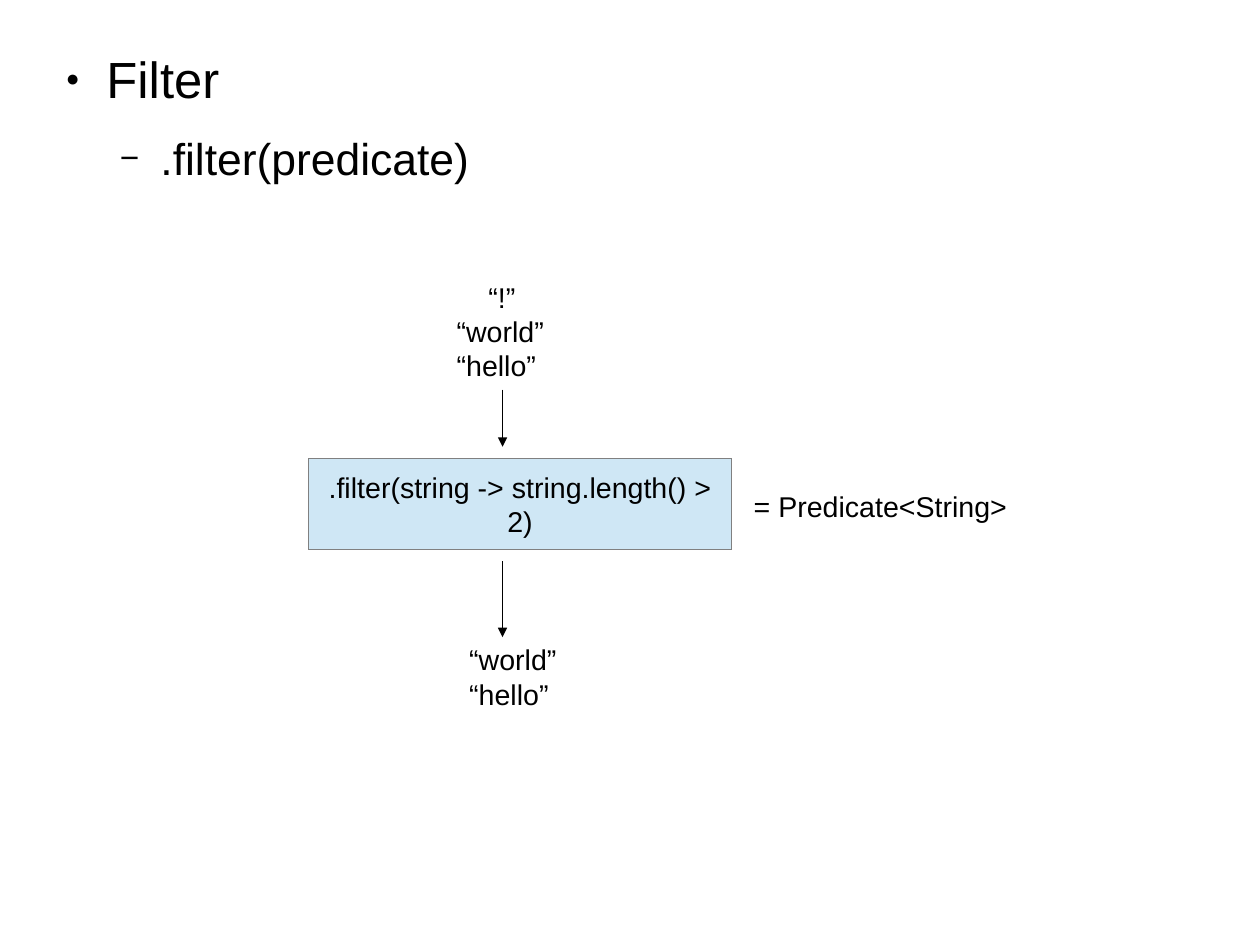
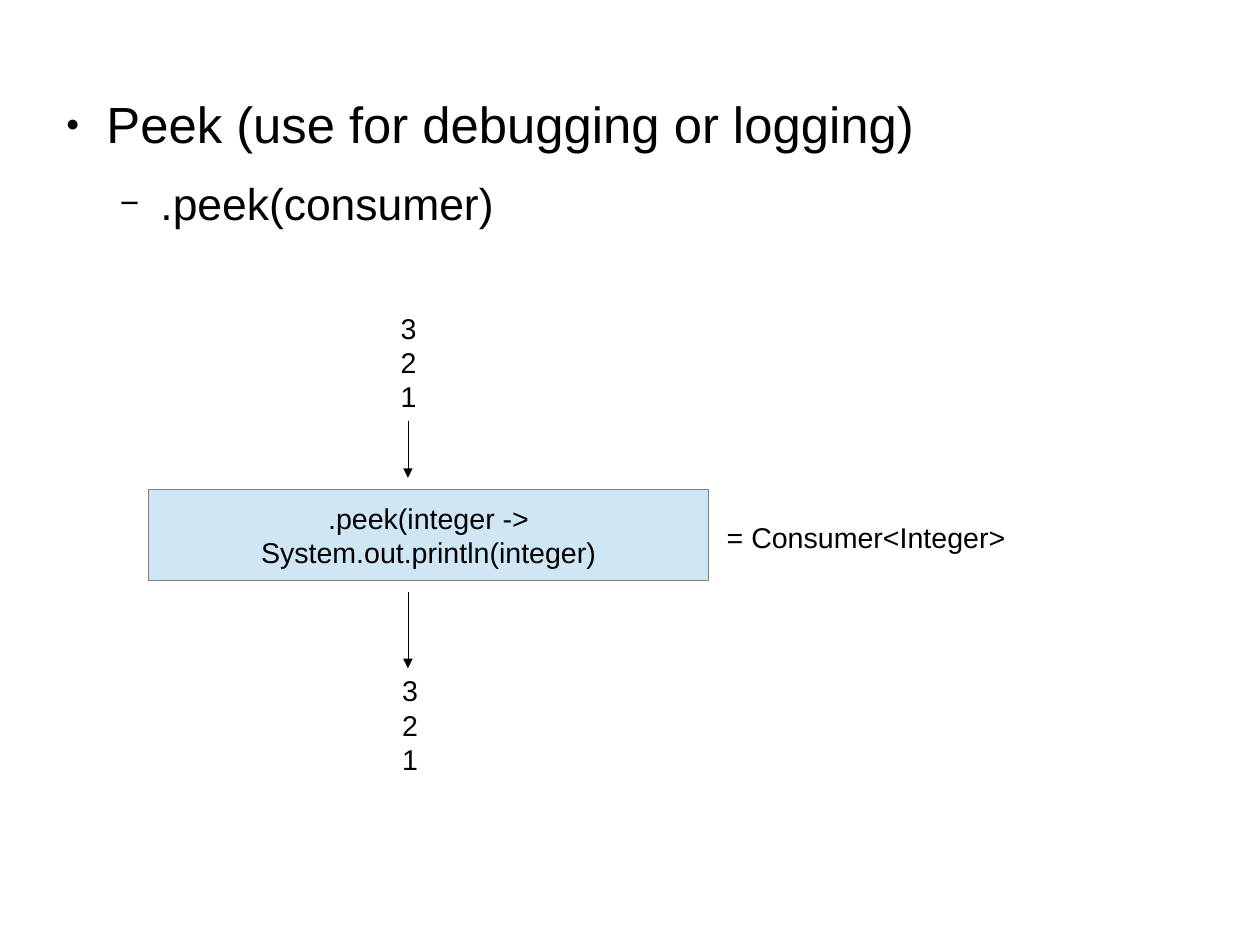
"""Build two slides that show how stream steps handle their items."""
from dataclasses import dataclass

import pptx
import pptx.dml.color
import pptx.enum.shapes
import pptx.enum.text
import pptx.oxml.ns
import pptx.util
from lxml import etree

Pt = pptx.util.Pt
Color = pptx.dml.color.RGBColor
Align = pptx.enum.text.PP_ALIGN
Anchor = pptx.enum.text.MSO_ANCHOR


@dataclass(frozen=True)
class Theme:
    """Hold the shared look."""
    font: str = "Arial"
    ink: str = "000000"
    fill: str = "CFE7F5"
    edge: str = "808080"
    paper: str = "FFFFFF"
    large: float = 32
    middle: float = 28
    small: float = 18


@dataclass(frozen=True)
class Bullet:
    """Describe one outline level."""
    mark: str
    scale: int
    size: float
    left: float
    after: float


@dataclass(frozen=True)
class Row:
    """Describe one line of items."""
    text: str
    shift: float = 0


@dataclass(frozen=True)
class Stack:
    """Describe a column of items."""
    left: float
    width: float
    rows: tuple[Row, ...]


@dataclass(frozen=True)
class Flow:
    """Describe one slide."""
    heads: tuple[str, str]
    head_top: float
    left: float
    top: float
    width: float
    code: str
    axis: float
    source: Stack
    result: Stack
    label: Stack


LOOK = Theme()
LEVELS = (Bullet("●", 45, LOOK.large, 34, 14.1),
          Bullet("−", 75, LOOK.middle, 68, 11.3))
HANG = -25.5
HEIGHT = 57.6
ARROWS = ((-43.2, -7.2), (64.8, 112.7))
SOURCE, RESULT, LABEL = -116, 112.4, 15.8

FLOWS = (
    Flow(("Filter", ".filter(predicate)"), 30.2, 194.4, 288.6, 266.4,
         ".filter(string -> string.length() > 2)", 316.6,
         Stack(280.6, 75, (Row("“!”", 20), Row("“world”"), Row("“hello”"))),
         Stack(288.5, 75, (Row("“world”"), Row("“hello”"))),
         Stack(467.7, 190, (Row("= Predicate<String>"),))),
    Flow(("Peek (use for debugging or logging)", ".peek(consumer)"),
         58.5, 93.6, 308.2, 352.8,
         ".peek(integer -> System.out.println(integer)", 257,
         Stack(245.4, 30, (Row("3"), Row("2"), Row("1"))),
         Stack(246.2, 30, (Row("3"), Row("2"), Row("1"))),
         Stack(450.7, 205, (Row("= Consumer<Integer>"),))),
)


def add_tag(node, name: str, **attrs: str):
    """Append one drawing tag to a node."""
    return etree.SubElement(node, pptx.oxml.ns.qn(name), attrs)


def set_line(line, color: str):
    """Set a hairline and return its node."""
    line.color.rgb = Color.from_string(color)
    node = line._get_or_add_ln()
    node.set("w", "0")
    return node


def add_run(para, text: str, size: float) -> None:
    """Add a styled run."""
    run = para.add_run()
    run.text = text
    run.font.name = LOOK.font
    run.font.size = Pt(size)
    run.font.color.rgb = Color.from_string(LOOK.ink)


def get_para(frame, index: int):
    """Return the first or a new paragraph."""
    return frame.add_paragraph() if index else frame.paragraphs[0]


def set_frame(frame, side: float, edge: float) -> None:
    """Set wrap and insets."""
    frame.word_wrap = True
    frame.margin_left = frame.margin_right = Pt(side)
    frame.margin_top = frame.margin_bottom = Pt(edge)


def add_heads(slide, flow: Flow) -> None:
    """Draw the bulleted heads."""
    frame = slide.shapes.add_textbox(
        Pt(33.1), Pt(flow.head_top), Pt(607.7), Pt(128.2)).text_frame
    set_frame(frame, 0, 0)
    for index, (text, kind) in enumerate(zip(flow.heads, LEVELS)):
        para = get_para(frame, index)
        para.level = index
        para.space_after = Pt(kind.after)
        add_run(para, text, kind.size)
        props = para._p.get_or_add_pPr()
        props.set("marL", str(Pt(kind.left)))
        props.set("indent", str(Pt(HANG)))
        add_tag(add_tag(props, "a:buClr"), "a:srgbClr", val=LOOK.ink)
        add_tag(props, "a:buSzPct", val=str(kind.scale * 1000))
        add_tag(props, "a:buFont", typeface=LOOK.font)
        add_tag(props, "a:buChar", char=kind.mark)


def add_box(slide, flow: Flow) -> None:
    """Draw the step box."""
    box = slide.shapes.add_shape(
        pptx.enum.shapes.MSO_SHAPE.RECTANGLE,
        Pt(flow.left), Pt(flow.top), Pt(flow.width), Pt(HEIGHT))
    box.shadow.inherit = False
    box.fill.solid()
    box.fill.fore_color.rgb = Color.from_string(LOOK.fill)
    set_line(box.line, LOOK.edge)
    frame = box.text_frame
    set_frame(frame, 7.2, 3.6)
    frame.vertical_anchor = Anchor.MIDDLE
    para = frame.paragraphs[0]
    para.alignment = Align.CENTER
    add_run(para, flow.code, LOOK.small)


def add_stack(slide, stack: Stack, top: float) -> None:
    """Draw a column of items."""
    frame = slide.shapes.add_textbox(
        Pt(stack.left), Pt(top), Pt(stack.width),
        Pt(7.2 + 20.2 * len(stack.rows))).text_frame
    set_frame(frame, 7.2, 3.6)
    for index, row in enumerate(stack.rows):
        para = get_para(frame, index)
        add_run(para, row.text, LOOK.small)
        if row.shift:
            para._p.get_or_add_pPr().set("marL", str(Pt(row.shift)))


def add_arrow(slide, axis: float, start: float, end: float) -> None:
    """Draw a down arrow."""
    arrow = slide.shapes.add_connector(
        pptx.enum.shapes.MSO_CONNECTOR.STRAIGHT,
        Pt(axis), Pt(start), Pt(axis), Pt(end))
    add_tag(set_line(arrow.line, LOOK.ink), "a:tailEnd", type="triangle")
    add_tag(arrow._element.spPr, "a:effectLst")


def add_flow(deck, flow: Flow) -> None:
    """Draw one whole slide."""
    slide = deck.slides.add_slide(deck.slide_layouts[6])
    slide.background.fill.solid()
    slide.background.fill.fore_color.rgb = Color.from_string(LOOK.paper)
    add_heads(slide, flow)
    add_box(slide, flow)
    for stack, drop in ((flow.source, SOURCE), (flow.result, RESULT),
                        (flow.label, LABEL)):
        add_stack(slide, stack, flow.top + drop)
    for start, end in ARROWS:
        add_arrow(slide, flow.axis, flow.top + start, flow.top + end)


def main() -> None:
    """Build and save the deck."""
    deck = pptx.Presentation()
    deck.slide_width, deck.slide_height = Pt(793.75), Pt(595.25)
    for flow in FLOWS:
        add_flow(deck, flow)
    deck.save("out.pptx")


if __name__ == "__main__":
    main()
